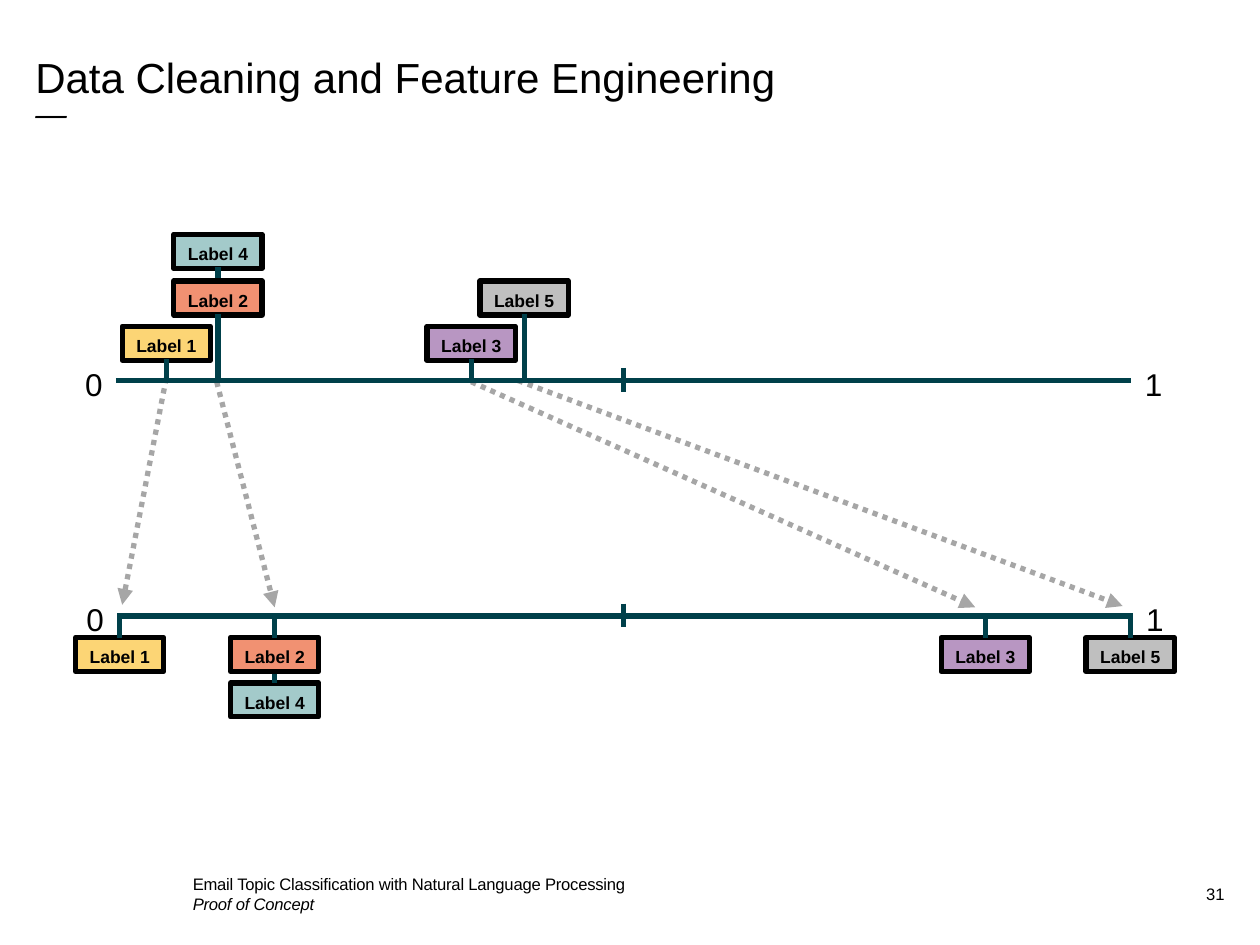
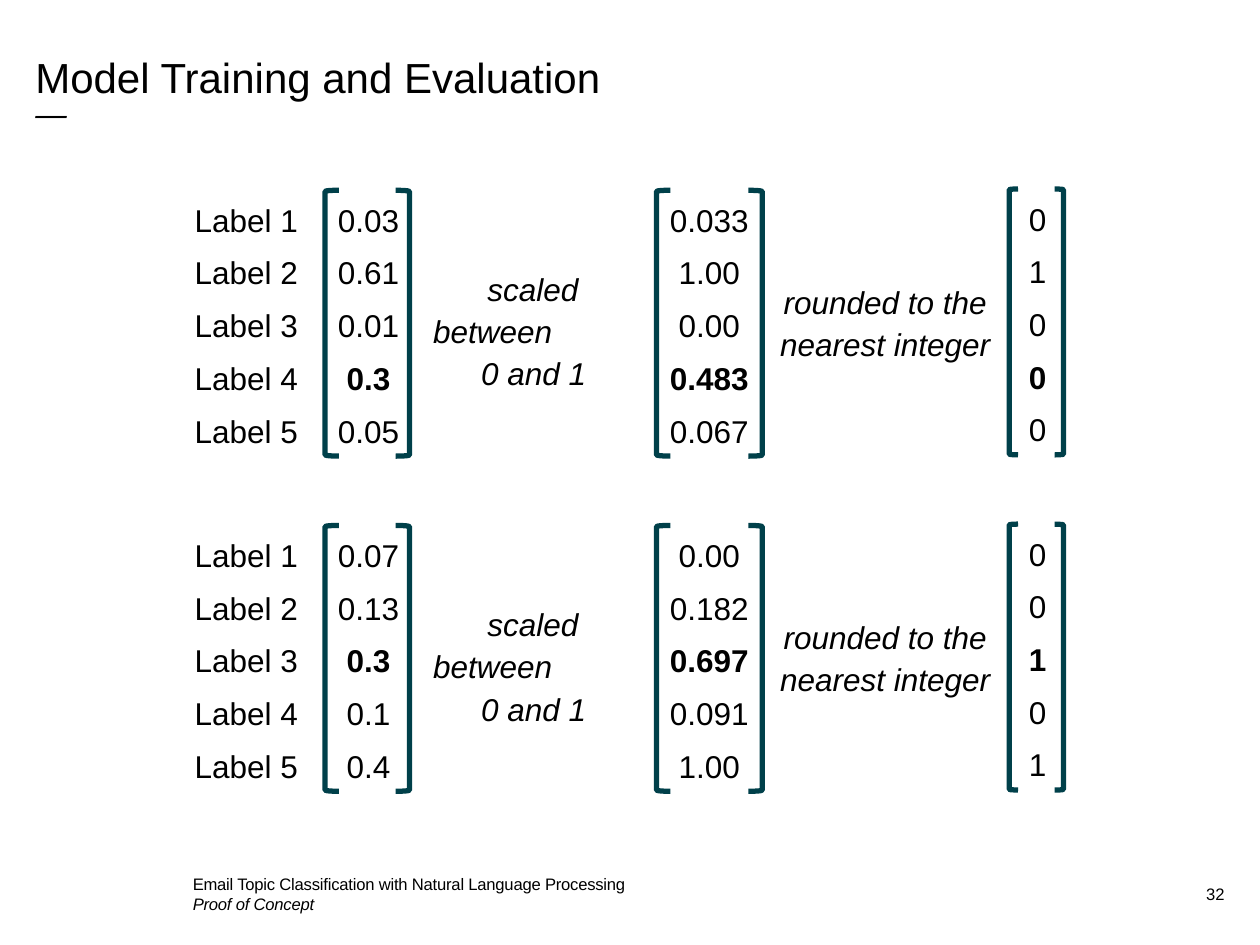
from lxml import etree
from pptx import Presentation
from pptx.dml.color import RGBColor
from pptx.enum import dml, shapes, text
from pptx.oxml import ns
from pptx.util import Inches, Pt

BLACK = RGBColor(0x00, 0x00, 0x00)
TEAL = RGBColor(0x00, 0x40, 0x4A)
ARROW_GREY = RGBColor(0xA6, 0xA6, 0xA6)
LABEL_COLORS = {
    1: RGBColor(0xFC, 0xD5, 0x75),
    2: RGBColor(0xF1, 0x91, 0x72),
    3: RGBColor(0xB8, 0x96, 0xC2),
    4: RGBColor(0xA3, 0xCA, 0xCA),
    5: RGBColor(0xBF, 0xBF, 0xBF),
}
FONT = "Arial"
LEFT, CENTER, RIGHT = text.PP_ALIGN.LEFT, text.PP_ALIGN.CENTER, text.PP_ALIGN.RIGHT
TOP, BOTTOM = text.MSO_ANCHOR.TOP, text.MSO_ANCHOR.BOTTOM
SLIM = (0.04, 0.04, 0.04, 0.04)
WIDE = (0.1, 0.05, 0.1, 0.05)
NARROW = (0.05, 0.05, 0.05, 0.05)

LABEL_WIDTH, LABEL_HEIGHT = 0.7, 0.27
AXIS_LENGTH = 8.06
VECTOR_HEIGHT = 2.11


class SlideBuilder:
    """Holds the deck, its shared style and the slide being filled."""

    def __init__(self):
        self.deck = Presentation()
        self.deck.slide_width, self.deck.slide_height = Inches(10), Inches(7.5)
        self.page = None

    def start(self, title, number):
        self.page = self.deck.slides.add_slide(self.deck.slide_layouts[6])
        self.text(str(number), 9.01, 6.69, 0.75, 0.52, size=9.5, align=RIGHT,
                  anchor=BOTTOM, insets=(0, 0.04, 0.04, 0.04))
        self.text("—", 0.24, 0.66, 9.57, 0.84, size=18, italic=True,
                  leading=24.8, insets=SLIM)
        self.text(title, 0.24, 0.31, 9.57, 0.35, size=24, leading=33, insets=SLIM)
        footer = self.text(
            ["Email Topic Classification with Natural Language Processing",
             "Proof of Concept"],
            1.49, 6.92, 4.04, 0.37, size=9.5, leading=11.4, anchor=BOTTOM,
            insets=SLIM, tracking=-0.1)
        footer.paragraphs[1].runs[0].font.italic = True

    def text(self, lines, left, top, width, height, **style):
        box = self.page.shapes.add_textbox(
            Inches(left), Inches(top), Inches(width), Inches(height))
        return self.fill_frame(box.text_frame, lines, **style)

    def fill_frame(self, frame, lines, size=18, bold_line=None, italic=False,
                   align=LEFT, anchor=TOP, insets=WIDE, leading=None, after=0,
                   indents=None, tracking=None):
        """Fill a frame, one paragraph a line; bold_line is the index of the bold one."""
        frame.word_wrap = True
        frame.auto_size = text.MSO_AUTO_SIZE.NONE
        frame.vertical_anchor = anchor
        (frame.margin_left, frame.margin_top,
         frame.margin_right, frame.margin_bottom) = map(Inches, insets)
        lines = [lines] if isinstance(lines, str) else lines
        for index, line in enumerate(lines):
            para = frame.paragraphs[0] if index == 0 else frame.add_paragraph()
            para.alignment = align
            para.space_after = Pt(after)
            if leading:
                para.line_spacing = Pt(leading)
            if indents:
                properties = para._p.get_or_add_pPr()
                properties.set("marL", str(Inches(indents[index])))
                properties.set("indent", "0")
            span = para.add_run()
            span.text = line
            span.font.name, span.font.size = FONT, Pt(size)
            span.font.bold, span.font.italic = index == bold_line, italic
            span.font.color.rgb = BLACK
            if tracking:
                span._r.get_or_add_rPr().set("spc", str(round(tracking * 100)))
        return frame

    def shape(self, kind, left, top, width, height, line, fill=None):
        shape = self.page.shapes.add_shape(
            kind, Inches(left), Inches(top), Inches(width), Inches(height))
        shape.shadow.inherit = False
        shape.line.color.rgb, shape.line.width = line, Pt(3)
        if fill is None:
            shape.fill.background()
        else:
            shape.fill.solid()
            shape.fill.fore_color.rgb = fill
        return shape

    def line(self, start, end, color=TEAL, arrow=False):
        """Draw a solid line, or a dotted one with an arrowhead at its end."""
        line = self.page.shapes.add_connector(
            shapes.MSO_CONNECTOR.STRAIGHT, *map(Inches, (*start, *end)))
        line.line.color.rgb, line.line.width = color, Pt(3)
        if arrow:
            line.line.dash_style = dml.MSO_LINE.ROUND_DOT
            etree.SubElement(line.line._get_or_add_ln(), ns.qn("a:tailEnd"),
                             type="triangle")
        etree.SubElement(line._element.spPr, ns.qn("a:effectLst"))

    def label(self, number, center, top):
        box = self.shape(shapes.MSO_SHAPE.RECTANGLE, center - LABEL_WIDTH / 2, top,
                         LABEL_WIDTH, LABEL_HEIGHT, BLACK, LABEL_COLORS[number])
        self.fill_frame(box.text_frame, f"Label {number}", size=10, bold_line=0,
                        align=CENTER, leading=13.4, after=6)

    def axis(self, left, y, labels):
        """Draw a 0 to 1 scale; each label is (number, centre, top of its box)."""
        right = left + AXIS_LENGTH
        self.line((left, y), (right, y))
        for end, end_left in (("0", left - 0.35), ("1", right)):
            self.text(end, end_left, y - 0.21, 0.35, 0.41, align=CENTER,
                      leading=24.1, after=6)
        for number, center, top in labels:
            self.label(number, center, top)
            near_edge = top + LABEL_HEIGHT - 0.01 if top < y else top
            self.line((center, near_edge), (center, y))
        self.line((4.95, y - 0.1), (4.95, y + 0.09))

    def column(self, values, left, top, width, bold_line=None):
        self.text(values, left, top, width, VECTOR_HEIGHT, align=CENTER,
                  bold_line=bold_line, insets=NARROW, leading=24.1, after=6)

    def vector(self, values, left, top, width, bracket, right, bold_line):
        """Draw a column of values in brackets; right is the closing one's left."""
        self.column(values, left, top, width, bold_line)
        for bracket_left, turn in ((left, 0), (right, 180)):
            side = self.shape(shapes.MSO_SHAPE.LEFT_BRACKET, bracket_left, top,
                              bracket, VECTOR_HEIGHT, TEAL)
            side.rotation = turn

    def scaling_row(self, top, bold_line, raw, scaled, rounded):
        self.column([f"Label {number}" for number in LABEL_COLORS], 1.33, top, 1.25)
        self.vector(raw, 2.58, top, 0.69, 0.11, 3.14, bold_line)
        self.vector(scaled, 5.21, top, 0.84, 0.11, 5.94, bold_line)
        self.vector(rounded, 8.01, top - 0.01, 0.45, 0.07, 8.37, bold_line)
        self.text(["scaled", "between", "0 and 1"], 3.28, top + 0.55, 1.91, 1.09,
                  italic=True, leading=24.1, indents=(0.49, 0.06, 0.44))
        self.text("rounded to the nearest integer", 6.07, top + 0.65, 1.91, 0.75,
                  italic=True, align=CENTER, leading=24.1, after=6)


def add_feature_slide(builder):
    builder.start("Data Cleaning and Feature Engineering", 31)
    moves = (((1.32, 3), (0.97, 4.8)), ((1.72, 3.03), (2.18, 4.82)),
             ((3.74, 3.03), (7.74, 4.82)), ((4.11, 3.02), (8.91, 4.81)))
    for start, end in moves:
        builder.line(start, end, ARROW_GREY, arrow=True)
    builder.axis(0.92, 3.02, ((4, 1.73, 1.86), (1, 1.32, 2.59), (2, 1.73, 2.23),
                              (3, 3.74, 2.59), (5, 4.16, 2.23)))
    builder.axis(0.93, 4.89, ((4, 2.18, 5.42), (1, 0.95, 5.06), (5, 8.97, 5.06),
                              (2, 2.18, 5.06), (3, 7.82, 5.06)))


def add_training_slide(builder):
    builder.start("Model Training and Evaluation", 32)
    builder.scaling_row(1.51, 3, ("0.03", "0.61", "0.01", "0.3", "0.05"),
                        ("0.033", "1.00", "0.00", "0.483", "0.067"),
                        ("0", "1", "0", "0", "0"))
    builder.scaling_row(4.17, 2, ("0.07", "0.13", "0.3", "0.1", "0.4"),
                        ("0.00", "0.182", "0.697", "0.091", "1.00"),
                        ("0", "0", "1", "0", "1"))


def main():
    builder = SlideBuilder()
    add_feature_slide(builder)
    add_training_slide(builder)
    builder.deck.save("out.pptx")


if __name__ == "__main__":
    main()
